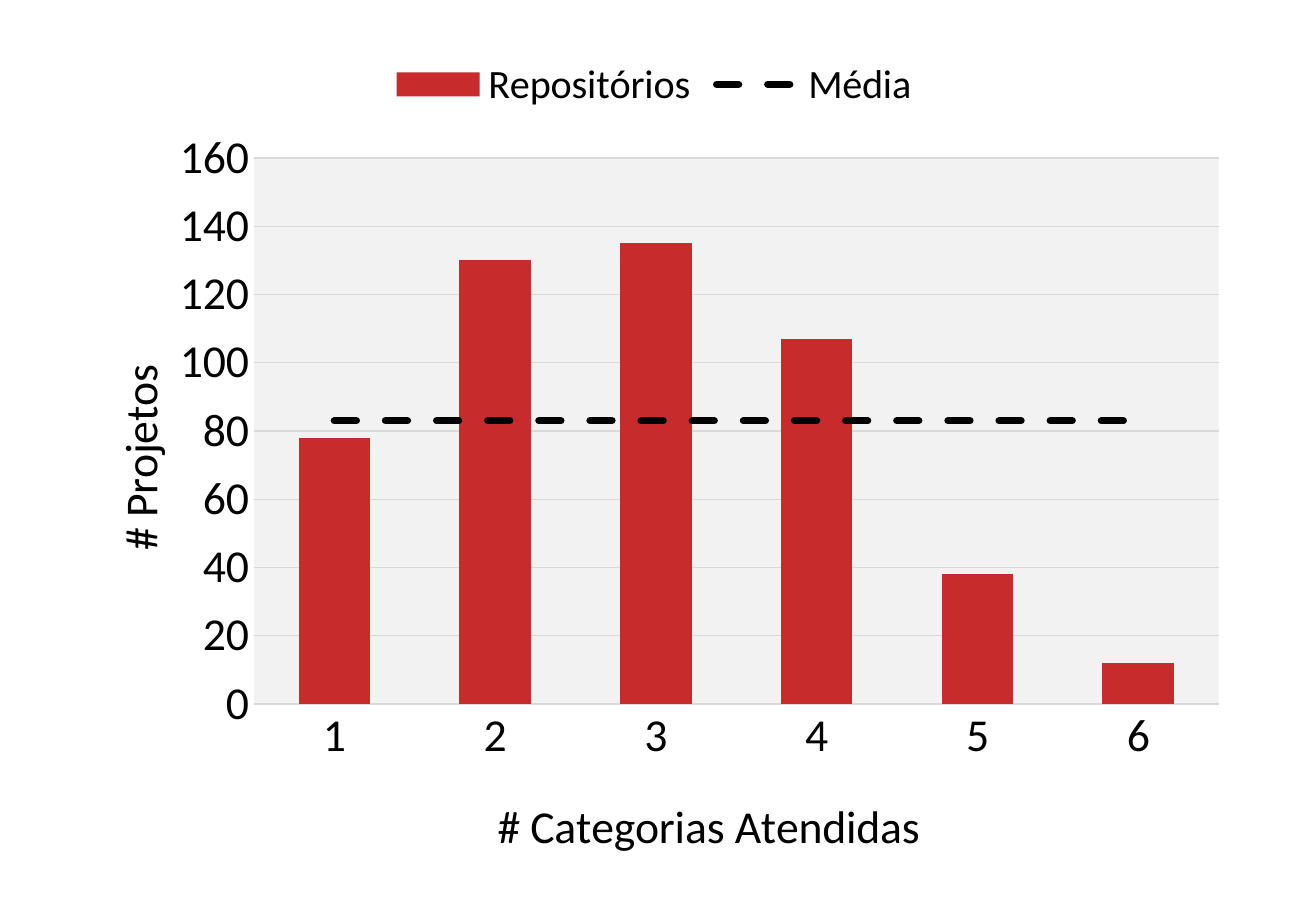
from copy import deepcopy

from pptx import Presentation
from pptx.chart.data import CategoryChartData
from pptx.dml.color import RGBColor
from pptx.enum.chart import XL_CHART_TYPE, XL_LEGEND_POSITION, XL_MARKER_STYLE, XL_TICK_MARK
from pptx.enum.dml import MSO_LINE
from pptx.oxml import parse_xml
from pptx.oxml.ns import nsdecls, qn
from pptx.util import Inches, Pt

COLUMN = XL_CHART_TYPE.COLUMN_CLUSTERED
TOP = XL_LEGEND_POSITION.TOP
NO_MARK = XL_MARKER_STYLE.NONE
NO_TICK = XL_TICK_MARK.NONE
DASH = MSO_LINE.DASH

WIDE, HIGH = Inches(10), Inches(7)
FACE = "Calibri"
BLACK, RED, GRID, PLOT = "000000", "C72B2B", "D9D9D9", "F2F2F2"
COUNTS = (78, 130, 135, 107, 38, 12)
MEAN = 83


def color(code):
    return RGBColor.from_string(code)


def style(font, size):
    font.name, font.size, font.bold = FACE, Pt(size), False
    font.color.rgb = color(BLACK)


def stroke(line, code, width):
    line.color.rgb = color(code)
    line.width = Pt(width)


def place(part, index, **shares):
    """Fix a chart part's position, in shares of the chart's size."""
    old = part.find(qn("c:layout"))
    if old is not None:
        part.remove(old)
    target = '<c:layoutTarget val="inner"/>' if "w" in shares else ""
    modes = "".join(f'<c:{key}Mode val="edge"/>' for key in "xy")
    sizes = "".join(f'<c:{key} val="{val}"/>' for key, val in shares.items())
    part.insert(index, parse_xml(
        f'<c:layout {nsdecls("c")}><c:manualLayout>{target}{modes}{sizes}'
        "</c:manualLayout></c:layout>"))


def add_axis(axis, title, x, y):
    axis.major_tick_mark = axis.minor_tick_mark = NO_TICK
    style(axis.tick_labels.font, 25)
    head = axis.axis_title
    head.text_frame.text = title
    style(head.text_frame.paragraphs[0].runs[0].font, 25)
    place(head._element, 1, x=x, y=y)


def split_line(chart):
    """Move the last column series to a line plot on the same axes."""
    bars = chart._chartSpace.find(".//" + qn("c:barChart"))
    plot = parse_xml(
        f'<c:lineChart {nsdecls("c")}><c:grouping val="standard"/>'
        '<c:varyColors val="0"/><c:marker val="1"/></c:lineChart>')
    row = bars.findall(qn("c:ser"))[-1]
    flag = row.find(qn("c:invertIfNegative"))
    if flag is not None:
        row.remove(flag)
    plot.insert(2, row)
    for axis in bars.findall(qn("c:axId")):
        plot.append(deepcopy(axis))
    bars.addnext(plot)


def add_chart(slide):
    data = CategoryChartData(number_format="0")
    data.categories = [str(n + 1) for n in range(len(COUNTS))]
    data.add_series("Repositórios", COUNTS)
    data.add_series("Média", [MEAN] * len(COUNTS))
    chart = slide.shapes.add_chart(
        COLUMN, Inches(0.5), Inches(0.32), Inches(8.94), Inches(6.29), data).chart
    chart.has_title = False
    style(chart.font, 25)
    split_line(chart)
    return chart


def style_plots(chart):
    bars, line = chart.plots
    bars.gap_width, bars.overlap, bars.vary_by_categories = 125, -27, False
    fill = bars.series[0].format.fill
    fill.solid()
    fill.fore_color.rgb = color(RED)
    # Dashed mean with round ends
    mean = line.series[0]
    mean.smooth = False
    mean.marker.style = NO_MARK
    stroke(mean.format.line, BLACK, 4)
    mean.format.line.dash_style = DASH
    mean._element.find(".//" + qn("a:ln")).set("cap", "rnd")


def style_area(chart):
    area = chart._chartSpace.find(".//" + qn("c:plotArea"))
    place(area, 0, x=0.16, y=0.14, w=0.82, h=0.66)
    area.append(parse_xml(
        f'<c:spPr {nsdecls("c", "a")}><a:solidFill><a:srgbClr val="{PLOT}"/>'
        "</a:solidFill><a:ln><a:noFill/></a:ln></c:spPr>"))


def style_axes(chart):
    cats, vals = chart.category_axis, chart.value_axis
    add_axis(cats, "# Categorias Atendidas", 0.36, 0.9)
    add_axis(vals, "# Projetos", 0.03, 0.38)
    stroke(cats.format.line, GRID, 0.75)
    vals.format.line.fill.background()
    vals.has_major_gridlines = True
    stroke(vals.major_gridlines.format.line, GRID, 0.75)
    vals.minimum_scale, vals.maximum_scale, vals.major_unit = 0, 160, 20
    vals.tick_labels.number_format = "0"
    vals.tick_labels.number_format_is_linked = False


def add_legend(chart):
    chart.has_legend = True
    chart.legend.position = TOP
    chart.legend.include_in_layout = False
    style(chart.legend.font, 22)


def main():
    deck = Presentation()
    deck.slide_width, deck.slide_height = WIDE, HIGH
    slide = deck.slides.add_slide(deck.slide_layouts[6])
    chart = add_chart(slide)
    style_plots(chart)
    style_area(chart)
    style_axes(chart)
    add_legend(chart)
    deck.save("out.pptx")


main()
